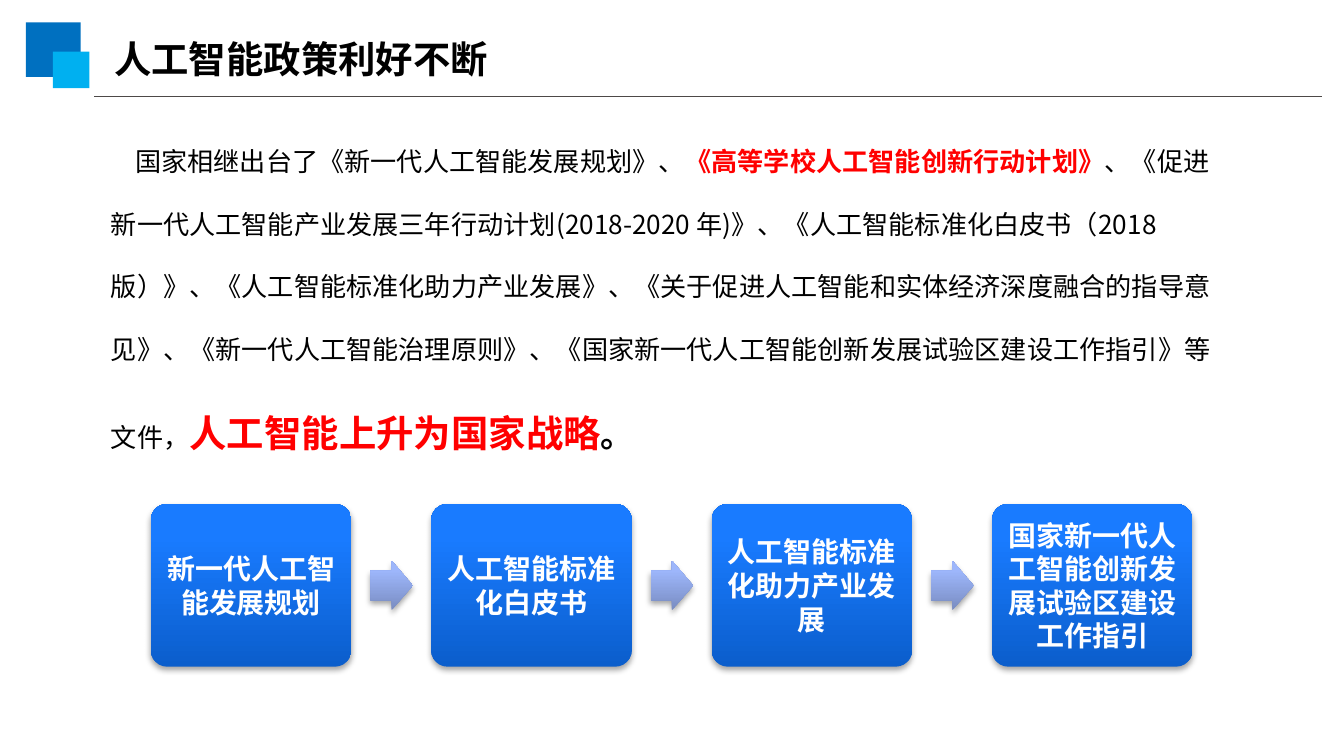
from dataclasses import dataclass

from lxml import etree
from pptx import Presentation
from pptx.dml.color import RGBColor
from pptx.enum import shapes, text
from pptx.oxml import ns
from pptx.util import Pt


@dataclass(frozen=True)
class Theme:
    cjk: str = "Noto Sans CJK SC"
    latin: str = "Arial"
    ink: str = "000000"
    accent: str = "FF0000"
    white: str = "FFFFFF"
    rule: str = "4D4948"
    dark_square: str = "0070C0"
    light_square: str = "00B0F0"
    step: tuple = ("0B5ECC", "197BFF")
    arrow: tuple = ("798CC1", "9DB6FB")
    heading_size: int = 20
    stop_size: int = 18
    step_size: int = 15
    body_size: int = 14


theme = Theme()


def add_text(paragraph, words, size=theme.body_size, color=theme.ink, bold=False, font=theme.cjk):
    run = paragraph.add_run()
    run.text = words
    run.font.size = Pt(size)
    run.font.bold = bold
    run.font.color.rgb = RGBColor.from_string(color)
    run.font.name = font
    etree.SubElement(run.font._element, ns.qn("a:ea"), typeface=theme.cjk)


def add_raised(kind, left, top, width, height, colors, adjustments):
    raised = slide.shapes.add_shape(kind, Pt(left), Pt(top), Pt(width), Pt(height))
    for index, value in enumerate(adjustments):
        raised.adjustments[index] = value
    raised.line.fill.background()
    raised.fill.gradient()
    raised.fill.gradient_angle = 90
    for stop, color, position in zip(raised.fill.gradient_stops, colors, (0, 0.8)):
        stop.color.rgb = RGBColor.from_string(color)
        stop.position = position
    raised.shadow.inherit = False
    effects = raised._element.spPr.find(ns.qn("a:effectLst"))
    shadow = etree.SubElement(effects, ns.qn("a:outerShdw"), blurRad=str(Pt(3.1)),
                              dist=str(Pt(1.8)), dir="5400000", rotWithShape="0")
    shade = etree.SubElement(shadow, ns.qn("a:srgbClr"), val=theme.ink)
    etree.SubElement(shade, ns.qn("a:alpha"), val="35000")
    return raised


prs = Presentation()
prs.slide_width, prs.slide_height = Pt(720), Pt(405)
slide = prs.slides.add_slide(prs.slide_layouts[5])

for left, top, side, color in ((13.9, 12, 29.3, theme.dark_square),
                               (28.3, 27.6, 19.6, theme.light_square)):
    square = slide.shapes.add_shape(shapes.MSO_SHAPE.RECTANGLE, Pt(left), Pt(top), Pt(side), Pt(side))
    square.fill.solid()
    square.fill.fore_color.rgb = RGBColor.from_string(color)
    square.line.fill.background()
    square.shadow.inherit = False

rule = slide.shapes.add_connector(shapes.MSO_CONNECTOR.STRAIGHT, Pt(708), Pt(51.6), Pt(50.4), Pt(51.6))
rule.line.color.rgb = RGBColor.from_string(theme.rule)
rule.line.width = Pt(0.75)
etree.SubElement(rule._element.spPr, ns.qn("a:effectLst"))

title = slide.shapes.title
title.left, title.top, title.width, title.height = Pt(54), Pt(16), Pt(305), Pt(31.5)
heading = title.text_frame
heading.auto_size = text.MSO_AUTO_SIZE.NONE
heading.vertical_anchor = text.MSO_ANCHOR.TOP
heading.paragraphs[0].alignment = text.PP_ALIGN.LEFT
add_text(heading.paragraphs[0], "人工智能政策利好不断", size=theme.heading_size, bold=True)

policies = slide.shapes.add_textbox(Pt(54), Pt(58.3), Pt(612), Pt(180.7)).text_frame
policies.word_wrap = True
policies.margin_left = policies.margin_right = Pt(5.4)
policies.margin_top = policies.margin_bottom = Pt(2.7)
summary = policies.paragraphs[0]
summary.line_spacing = 2.0
summary._p.get_or_add_pPr().set("indent", str(Pt(13)))
add_text(summary, "国家相继出台了《新一代人工智能发展规划》、")
add_text(summary, "《高等学校人工智能创新行动计划》", color=theme.accent, bold=True)
add_text(summary, "、《促进新一代人工智能产业发展三年行动计划(2018-2020 年)》、"
                  "《人工智能标准化白皮书（2018 版）》、《人工智能标准化助力产业发展》、"
                  "《关于促进人工智能和实体经济深度融合的指导意见》、《新一代人工智能治理原则》、"
                  "《国家新一代人工智能创新发展试验区建设工作指引》等文件，")
add_text(summary, "人工智能上升为国家战略", size=theme.heading_size, color=theme.accent, bold=True)
add_text(summary, "。", size=theme.stop_size, bold=True)

steps = (("新一代人工智能发展规划", theme.cjk),
         ("人工智能标准化白皮书", theme.latin),
         ("人工智能标准化助力产业发展", theme.latin),
         ("国家新一代人工智能创新发展试验区建设工作指引", theme.latin))
first_left, pitch = 80.8, 150.2
for index, (document, font) in enumerate(steps):
    left = first_left + index * pitch
    if index:
        add_raised(shapes.MSO_SHAPE.RIGHT_ARROW, left - 32.6, 300.4, 22.8, 26.6, theme.arrow, (0.6, 0.5))
    step = add_raised(shapes.MSO_SHAPE.ROUNDED_RECTANGLE, left, 270, 107.4, 87.2, theme.step, (0.1,))
    label = step.text_frame
    label.word_wrap = True
    label.vertical_anchor = text.MSO_ANCHOR.MIDDLE
    label.margin_left = label.margin_right = label.margin_top = label.margin_bottom = Pt(4)
    label.paragraphs[0].alignment = text.PP_ALIGN.CENTER
    add_text(label.paragraphs[0], document, size=theme.step_size, color=theme.white, bold=True, font=font)

prs.save("out.pptx")
